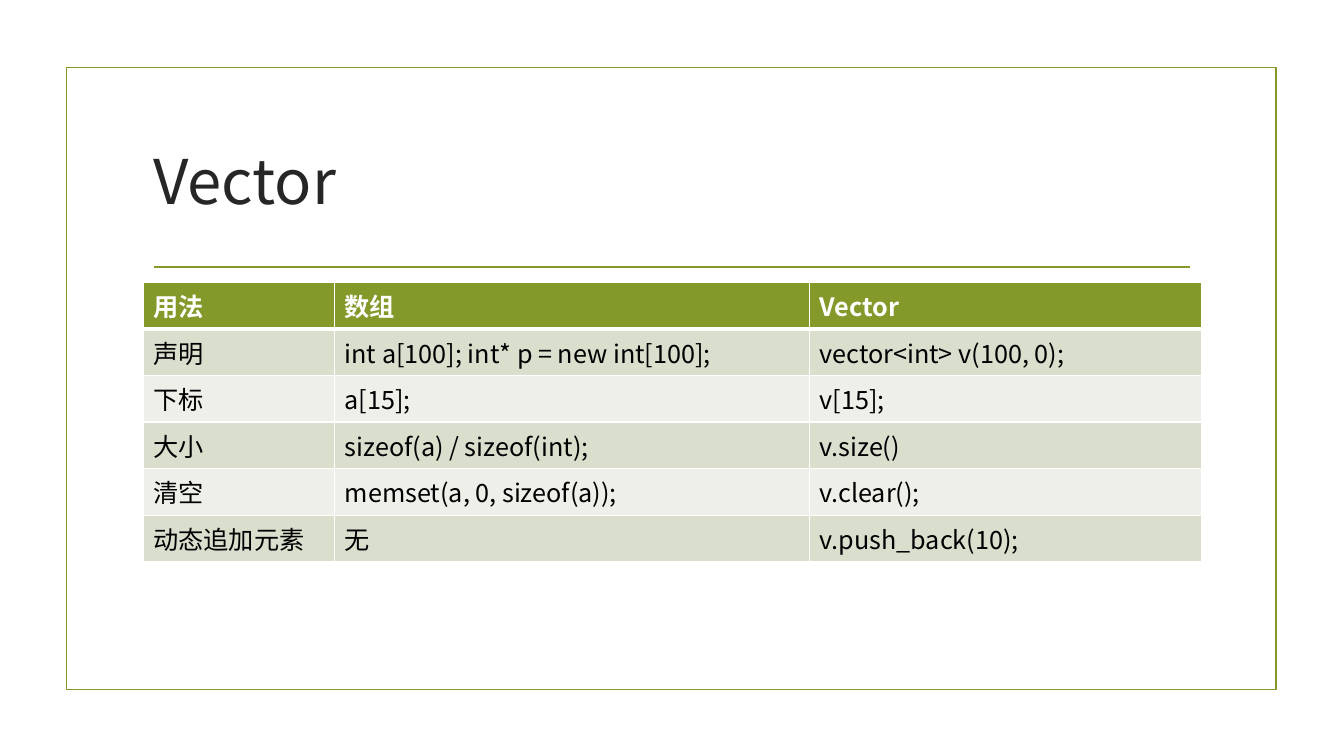
from lxml import etree
from pptx import Presentation
from pptx.dml.color import RGBColor
from pptx.enum import shapes, text
from pptx.oxml import ns
from pptx.util import Pt

FONT = "Noto Sans CJK SC"
GREEN, WHITE, INK, BLACK = "83992A", "FFFFFF", "262626", "000000"
BANDS = ("D9DECD", "EDEFE8")
LEFT, WIDTH = 102.24, 756
ROW_HEIGHT = 29.2
COLUMN_WIDTHS = (136.8, 339.12, 280.08)
USAGE = (
    ("用法", "数组", "Vector"),
    ("声明", "int a[100]; int* p = new int[100];", "vector<int> v(100, 0);"),
    ("下标", "a[15];", "v[15];"),
    ("大小", "sizeof(a) / sizeof(int);", "v.size()"),
    ("清空", "memset(a, 0, sizeof(a));", "v.clear();"),
    ("动态追加元素", "无", "v.push_back(10);"),
)


def color(value):
    """Turn a hex string into a colour."""
    return RGBColor.from_string(value)


def write(frame, words, size=18, ink=BLACK, bold=False):
    """Fill a text frame with one formatted, left-aligned paragraph."""
    para = frame.paragraphs[0]
    para.alignment = text.PP_ALIGN.LEFT
    span = para.add_run()
    span.text = words
    font = span.font
    font.name, font.size, font.bold = FONT, Pt(size), bold
    font.color.rgb = color(ink)
    east_asian = etree.SubElement(span._r.get_or_add_rPr(), ns.qn("a:ea"))
    east_asian.set("typeface", FONT)


def style_line(line):
    """Give an outline the green accent."""
    line.color.rgb = color(GREEN)
    line.width = Pt(1.25)


def add_frame(page):
    """Draw the green border around the content."""
    frame = page.shapes.add_shape(
        shapes.MSO_SHAPE.RECTANGLE, Pt(47.52), Pt(48.24), Pt(864), Pt(444.24))
    frame.shadow.inherit = False
    frame.fill.background()
    style_line(frame.line)


def add_rule(page):
    """Draw the line below the title."""
    rule = page.shapes.add_connector(
        shapes.MSO_CONNECTOR.STRAIGHT, Pt(110.16), Pt(190.8), Pt(850.32), Pt(190.8))
    style_line(rule.line)
    etree.SubElement(rule._element.spPr, ns.qn("a:effectLst"))


def set_title(page, words):
    """Place and format the title placeholder."""
    title = page.shapes.title
    title.left, title.top = Pt(LEFT), Pt(77.04)
    title.width, title.height = Pt(WIDTH), Pt(102.96)
    title.text_frame.vertical_anchor = text.MSO_ANCHOR.MIDDLE
    write(title.text_frame, words, size=44, ink=INK)


def add_borders(cell, **widths):
    """Draw white cell borders with the given widths."""
    properties = cell._tc.get_or_add_tcPr()
    for side, width in widths.items():
        border = etree.SubElement(properties, ns.qn(f"a:ln{side}"), w=str(Pt(width)))
        fill = etree.SubElement(border, ns.qn("a:solidFill"))
        etree.SubElement(fill, ns.qn("a:srgbClr"), val=WHITE)


def add_usage_table(page, rows):
    """Add the comparison table with a green header and banded rows."""
    table = page.shapes.add_table(
        len(rows), len(COLUMN_WIDTHS), Pt(LEFT), Pt(201.6),
        Pt(WIDTH), Pt(ROW_HEIGHT * len(rows))).table
    for column, width in zip(table.columns, COLUMN_WIDTHS):
        column.width = Pt(width)
    for i, row in enumerate(rows):
        table.rows[i].height = Pt(ROW_HEIGHT)
        header = i == 0
        for j, words in enumerate(row):
            cell = table.cell(i, j)
            add_borders(cell, L=1, R=1, T=3 if i == 1 else 1, B=3 if header else 1)
            cell.fill.solid()
            cell.fill.fore_color.rgb = color(GREEN if header else BANDS[(i - 1) % 2])
            write(cell.text_frame, words, ink=WHITE if header else BLACK, bold=header)


def main():
    """Build and save the slide."""
    deck = Presentation()
    deck.slide_width, deck.slide_height = Pt(960), Pt(540)
    page = deck.slides.add_slide(deck.slide_layouts.get_by_name("Title Only"))
    add_frame(page)
    add_rule(page)
    set_title(page, "Vector")
    add_usage_table(page, USAGE)
    deck.save("out.pptx")


if __name__ == "__main__":
    main()
